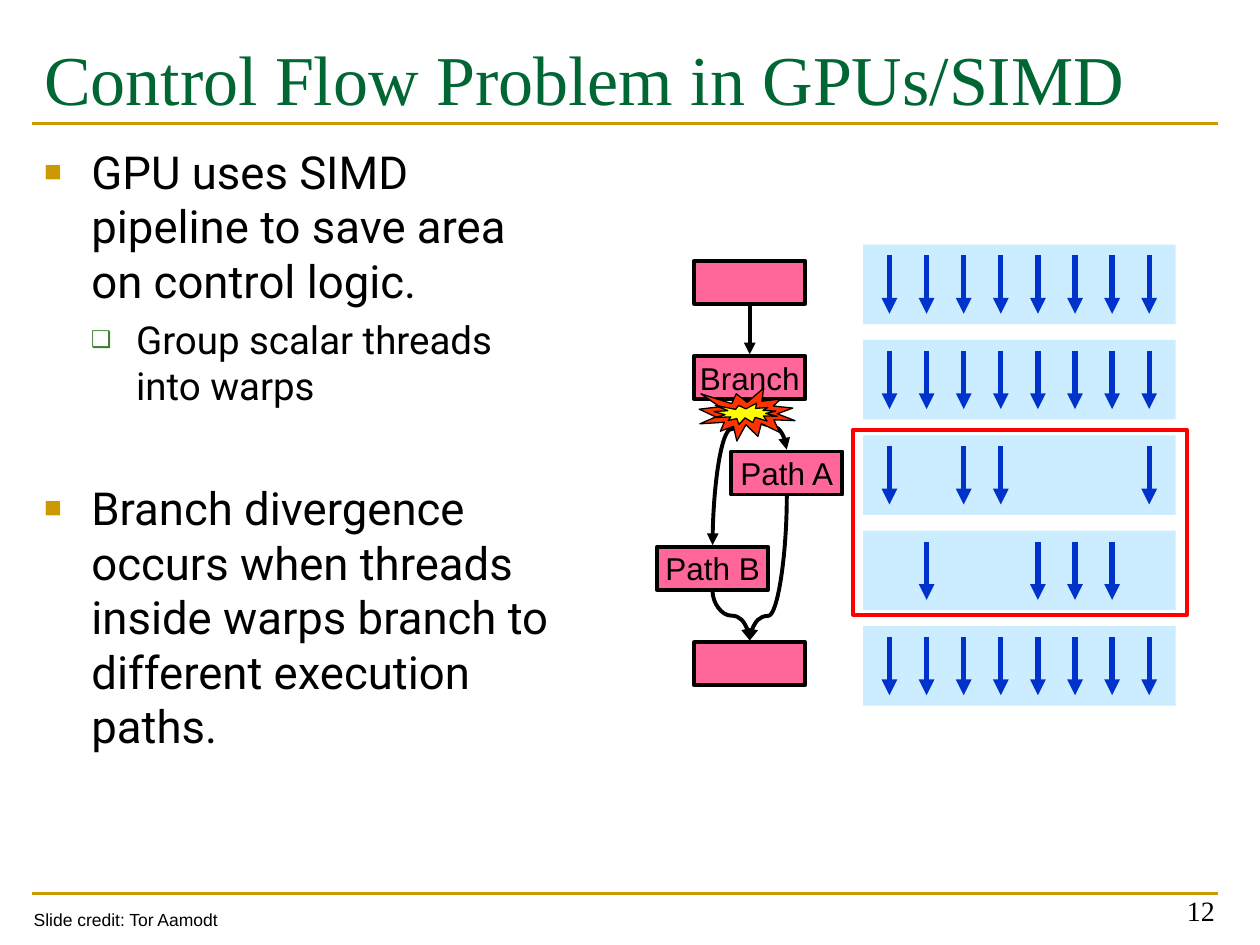
from lxml import etree
from pptx import Presentation
from pptx.dml.color import RGBColor
from pptx.enum import shapes, text
from pptx.oxml import ns
from pptx.util import Pt

ROW = 54.5
LANE = 21.2
CENTER = 428.4
BOX_TOP, BOX_W, BOX_H = 149, 63.4, 24.6
WARPS = ["11111111", "11111111", "10110001", "01001110", "11111111"]
BLOCKS = [("", 0), ("Branch", 0), ("Path A", LANE), ("Path B", -LANE), ("", 0)]


def rgb(value):
    return RGBColor.from_string(value)


def child(parent, tag, **attrs):
    return etree.SubElement(parent, ns.qn(tag), attrs)


def set_font(p, name, size, color="000000"):
    p.font.name = name
    p.font.size = Pt(size)
    p.font.color.rgb = rgb(color)


def place(sp, x, y, w, h):
    sp.left, sp.top, sp.width, sp.height = Pt(x), Pt(y), Pt(w), Pt(h)


def add_bullet(p, char, color, percent, left, hanging):
    pPr = p._p.get_or_add_pPr()
    pPr.set("marL", str(Pt(left)))
    pPr.set("indent", str(Pt(-hanging)))
    child(child(pPr, "a:buClr"), "a:srgbClr", val=color)
    child(pPr, "a:buSzPct", val=str(percent * 1000))
    child(pPr, "a:buFont", typeface="Arial")
    child(pPr, "a:buChar", char=char)


def add_title(s, wording):
    sp = s.shapes.title
    place(sp, 18, 12.2, 678.2, 84.2)
    tf = sp.text_frame
    tf.auto_size = text.MSO_AUTO_SIZE.NONE
    tf.vertical_anchor = text.MSO_ANCHOR.TOP
    tf.margin_top = Pt(8)
    tf.text = wording
    p = tf.paragraphs[0]
    p.alignment = text.PP_ALIGN.LEFT
    set_font(p, "Times New Roman", 40, "006633")


def add_body(s, items):
    sp = s.placeholders[1]
    place(sp, 18, 78.5, 311.8, 409)
    tf = sp.text_frame
    tf.auto_size = text.MSO_AUTO_SIZE.NONE
    for i, (wording, level, before) in enumerate(items):
        p = tf.paragraphs[0] if i == 0 else tf.add_paragraph()
        p.text = wording
        p.level = level
        p.space_before = Pt(before)
        if level:
            add_bullet(p, "❑", "3B812F", 60, 52.6, 25.9)
        else:
            add_bullet(p, "■", "CC9900", 65, 27, 27)
        set_font(p, "Roboto", 22 if level else 26)


def add_text(s, wording, box, font, size, align, anchor, wrap):
    tf = s.shapes.add_textbox(*map(Pt, box)).text_frame
    tf.word_wrap = wrap
    tf.vertical_anchor = anchor
    p = tf.paragraphs[0]
    p.text = wording
    p.alignment = align
    set_font(p, font, size)


def add_preset(parent, kind, box, fill=None, line=None, weight=0):
    sp = parent.add_shape(kind, *map(Pt, box))
    sp.shadow.inherit = False
    if fill:
        sp.fill.solid()
        sp.fill.fore_color.rgb = rgb(fill)
    else:
        sp.fill.background()
    if line:
        sp.line.color.rgb = rgb(line)
        sp.line.width = Pt(weight)
    else:
        sp.line.fill.background()
    return sp


def add_line(parent, start, end, color, weight, arrow=True,
             kind=shapes.MSO_CONNECTOR.STRAIGHT):
    line = parent.add_connector(kind, *map(Pt, (*start, *end)))
    line.line.color.rgb = rgb(color)
    line.line.width = Pt(weight)
    if arrow:
        child(line.line._get_or_add_ln(), "a:tailEnd", type="triangle")
    child(line._element.spPr, "a:effectLst")
    return line


def add_curve(parent, start, end, bend):
    (x1, y1), (x2, y2) = start, end
    cx, cy = (x1 + x2) / 2, (y1 + y2) / 2
    half_w, half_h = (y2 - y1) / 2, abs(x2 - x1) / 2
    line = add_line(parent, (cx - half_w, cy - half_h), (cx + half_w, cy + half_h),
                    "000000", 2.25, kind=shapes.MSO_CONNECTOR.CURVE)
    spPr = line._element.spPr
    xfrm = spPr.find(ns.qn("a:xfrm"))
    rightward = x2 > x1
    xfrm.set("rot", str((270 if rightward else 90) * 60000))
    if rightward:
        xfrm.set("flipH", "1")
    geom = spPr.find(ns.qn("a:prstGeom"))
    guides = geom.find(ns.qn("a:avLst"))
    if guides is None:
        guides = child(geom, "a:avLst")
    child(guides, "a:gd", name="adj1", fmla=f"val {round(bend * 100000)}")


def add_warp(s, row, lanes):
    group = s.shapes.add_group_shape().shapes
    top = 139.8 + row * ROW
    add_preset(group, shapes.MSO_SHAPE.RECTANGLE, (493.2, top, 178.6, 45.4), "CCECFF")
    for lane, active in enumerate(lanes):
        if active == "1":
            x = 508.3 + lane * LANE
            add_line(group, (x, top + 6.2), (x, top + 39.5), "0033CC", 3)


def add_block(s, row, label, shift):
    box = (CENTER + shift - BOX_W / 2, BOX_TOP + row * ROW, BOX_W, BOX_H)
    sp = add_preset(s.shapes, shapes.MSO_SHAPE.RECTANGLE, box, "FF6699", "000000", 2.25)
    if label:
        tf = sp.text_frame
        tf.word_wrap = False
        tf.vertical_anchor = text.MSO_ANCHOR.MIDDLE
        p = tf.paragraphs[0]
        p.text = label
        p.alignment = text.PP_ALIGN.CENTER
        set_font(p, "Arial", 18)


def add_flow(s):
    group = s.shapes.add_group_shape().shapes

    def entry(row):
        return CENTER + BLOCKS[row][1], BOX_TOP + row * ROW - 1

    def leave(row):
        return CENTER + BLOCKS[row][1], BOX_TOP + row * ROW + BOX_H + 0.6

    add_line(group, leave(0), entry(1), "000000", 2.25)
    for source, target, bend in [(1, 3, 0.2), (1, 2, 0.5), (2, 4, 0.83), (3, 4, 0.5)]:
        add_curve(group, leave(source), entry(target), bend)
    for row, (label, shift) in enumerate(BLOCKS):
        add_block(s, row, label, shift)


def add_burst(s):
    group = s.shapes.add_group_shape().shapes
    for box, fill in [((399.6, 221.8, 54.7, 30.2), "FF3300"),
                      ((408.2, 230.4, 36, 12.2), "FFFF00")]:
        add_preset(group, shapes.MSO_SHAPE.EXPLOSION1, box, fill, "000000", 0.75)


def main():
    prs = Presentation()
    prs.slide_width, prs.slide_height = Pt(720), Pt(540)
    s = prs.slides.add_slide(prs.slide_layouts[1])
    for y in (510.5, 70.6):
        add_line(s.shapes, (18, y), (696.2, y), "CC9900", 1.5, arrow=False)
    add_title(s, "Control Flow Problem in GPUs/SIMD")
    add_body(s, [
        ("GPU uses SIMD pipeline to save area on control logic.", 0, 5),
        ("Group scalar threads into warps", 1, 5),
        ("Branch divergence occurs when threads inside warps branch to "
         "different execution paths.", 0, 41),
    ])
    add_text(s, "12", (533.5, 497.5, 167.8, 36), "Times New Roman", 16,
             text.PP_ALIGN.RIGHT, text.MSO_ANCHOR.BOTTOM, True)
    for row, lanes in enumerate(WARPS):
        add_warp(s, row, lanes)
    add_preset(s.shapes, shapes.MSO_SHAPE.RECTANGLE, (487.4, 245.5, 190.8, 105.8),
               line="FF0000", weight=2.25)
    add_flow(s)
    add_burst(s)
    add_text(s, "Slide credit: Tor Aamodt", (12.2, 516.2, 121.7, 19.4), "Arial", 10,
             text.PP_ALIGN.LEFT, text.MSO_ANCHOR.TOP, False)
    prs.save("out.pptx")


if __name__ == "__main__":
    main()
